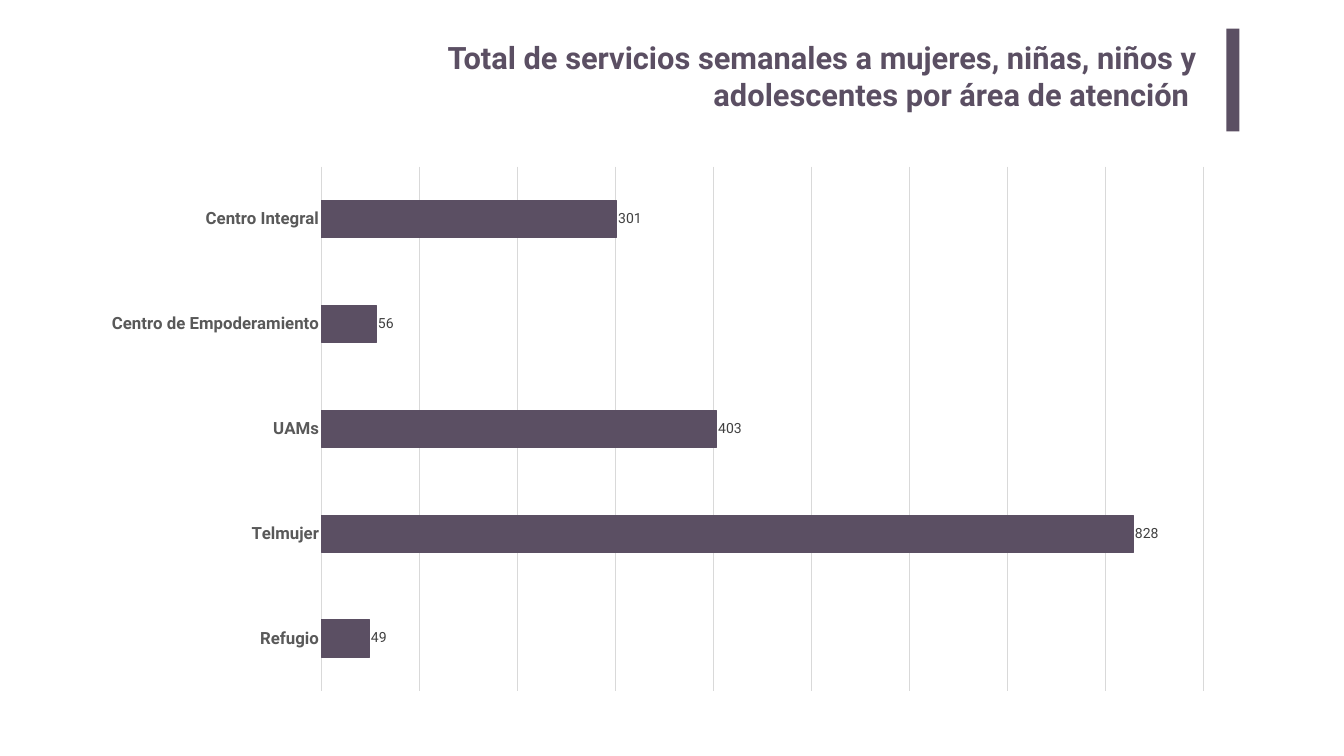
from dataclasses import dataclass

from pptx import Presentation
from pptx import util as u
from pptx.chart.data import CategoryChartData
from pptx.dml.color import RGBColor
from pptx.enum import chart as charts, shapes, text


@dataclass(frozen=True)
class Theme:
    font: str = "Roboto"
    accent: str = "5B4F63"
    grid: str = "D9D9D9"
    category: str = "595959"
    value: str = "404040"
    base: str = "000000"
    title_size: int = 44
    category_size: int = 24
    value_size: int = 20
    base_size: int = 10
    line_width: float = 0.75


class SlideBuilder:
    def __init__(self, slide, theme):
        self.slide = slide
        self.theme = theme

    def style_font(self, font, size, color, bold=False):
        font.name = self.theme.font
        font.size = u.Pt(size)
        font.bold = bold
        font.color.rgb = RGBColor.from_string(color)

    def style_line(self, line, color):
        line.color.rgb = RGBColor.from_string(color)
        line.width = u.Pt(self.theme.line_width)

    def title(self, content, *box):
        shape = self.slide.shapes.add_textbox(*map(u.Pt, box))
        frame = shape.text_frame
        frame.word_wrap = True
        frame.margin_left = frame.margin_right = u.Pt(14.4)
        frame.margin_top = frame.margin_bottom = u.Pt(7.2)
        paragraph = frame.paragraphs[0]
        paragraph.text = content
        paragraph.alignment = text.PP_ALIGN.RIGHT
        self.style_font(paragraph.font, self.theme.title_size, self.theme.accent, True)

    def bar(self, *box):
        shape = self.slide.shapes.add_shape(shapes.MSO_SHAPE.RECTANGLE, *map(u.Pt, box))
        shape.shadow.inherit = False
        shape.fill.solid()
        shape.fill.fore_color.rgb = RGBColor.from_string(self.theme.accent)
        shape.line.fill.background()

    def bar_chart(self, values, name, *box):
        theme = self.theme
        data = CategoryChartData()
        data.categories = values.keys()
        data.add_series(name, values.values())
        chart = self.slide.shapes.add_chart(
            charts.XL_CHART_TYPE.BAR_CLUSTERED, *map(u.Pt, box), data).chart
        chart.has_title = chart.has_legend = False
        self.style_font(chart.font, theme.base_size, theme.base)

        # Axes
        category_axis = chart.category_axis
        category_axis.reverse_order = True
        category_axis.major_tick_mark = charts.XL_TICK_MARK.NONE
        self.style_font(category_axis.tick_labels.font,
                        theme.category_size, theme.category, True)
        self.style_line(category_axis.format.line, theme.grid)
        value_axis = chart.value_axis
        value_axis.visible = False
        value_axis.minimum_scale, value_axis.maximum_scale = 0, 900
        value_axis.major_unit = 100
        value_axis.has_major_gridlines = True
        self.style_line(value_axis.major_gridlines.format.line, theme.grid)

        # Bars and value labels
        plot = chart.plots[0]
        plot.gap_width = 182
        plot.vary_by_categories = False
        series = plot.series[0]
        series.format.fill.solid()
        series.format.fill.fore_color.rgb = RGBColor.from_string(theme.accent)
        self.style_line(series.format.line, theme.accent)
        labels = series.data_labels
        labels.show_value = True
        labels.position = charts.XL_LABEL_POSITION.OUTSIDE_END
        self.style_font(labels.font, theme.value_size, theme.value)


def main():
    presentation = Presentation()
    presentation.slide_width = u.Pt(1920)
    presentation.slide_height = u.Pt(1080)
    slide = presentation.slides.add_slide(presentation.slide_layouts[6])
    builder = SlideBuilder(slide, Theme())

    # Heading with its accent bar
    builder.title("Total de servicios semanales a mujeres, niñas, niños y "
                  "adolescentes por área de atención ", 472.3, 48.2, 1252.8, 146.9)
    builder.bar(1751.8, 41, 18.7, 146.9)

    # Weekly services by area
    services = {
        "Centro Integral": 301,
        "Centro de Empoderamiento": 56,
        "UAMs": 403,
        "Telmujer": 828,
        "Refugio": 49,
    }
    builder.bar_chart(services, "Series 1", 127.4, 222.5, 1624.3, 779.8)

    presentation.save("out.pptx")


if __name__ == "__main__":
    main()
